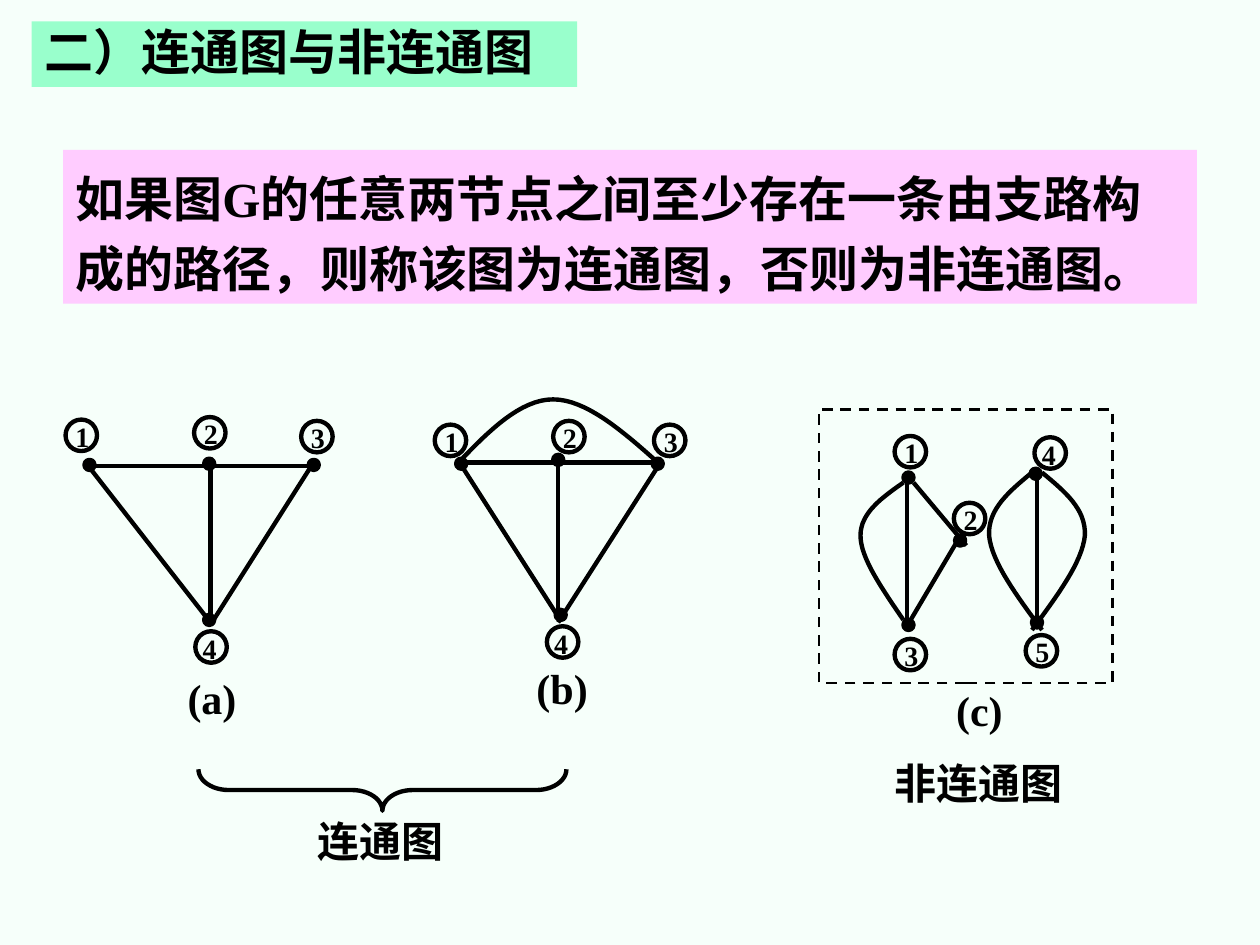
import itertools

import pptx
import pptx.dml.color
import pptx.enum.dml
import pptx.enum.shapes
import pptx.enum.text
import pptx.oxml
import pptx.oxml.ns
import pptx.util

Inches = pptx.util.Inches
Pt = pptx.util.Pt
RGBColor = pptx.dml.color.RGBColor
Shape = pptx.enum.shapes.MSO_SHAPE
Text = pptx.enum.text

BLACK = RGBColor(0x00, 0x00, 0x00)
MINT = RGBColor(0xF6, 0xFF, 0xFA)
GREEN = RGBColor(0x99, 0xFF, 0xCC)
PINK = RGBColor(0xFF, 0xCC, 0xFF)
ROMAN = "Times New Roman"
HAN = "Noto Sans CJK SC"
DOT = 0.08
RING = 0.25


def add_tag(parent, tag, **attrs):
    node = pptx.oxml.parse_xml(f"<a:{tag} {pptx.oxml.ns.nsdecls('a')}/>")
    for key, value in attrs.items():
        node.set(key, value)
    parent.append(node)


def write(frame, text, size=24, han=ROMAN, space=1.0, plain=False):
    frame.word_wrap = True
    frame.auto_size = Text.MSO_AUTO_SIZE.NONE
    frame.vertical_anchor = Text.MSO_ANCHOR.TOP
    para = frame.paragraphs[0]
    para.alignment = Text.PP_ALIGN.LEFT
    para.line_spacing = space
    para.space_before = Pt(0)
    if plain:
        props = para._p.get_or_add_pPr()
        props.set("marL", "0")
        props.set("indent", "0")
        add_tag(props, "buNone")
    for latin, chars in itertools.groupby(text, str.isascii):
        run = para.add_run()
        run.text = "".join(chars)
        font = run.font
        font.size = Pt(size)
        font.bold = True
        font.color.rgb = BLACK
        font.name = ROMAN if latin else han
        add_tag(run._r.get_or_add_rPr(), "ea", typeface=HAN)


def curve(start, *bends, steps=16):
    points = [start]
    for b, c, d in bends:
        a = points[-1]
        for step in range(1, steps + 1):
            t = step / steps
            u = 1 - t
            points.append(tuple(
                u**3 * p + 3 * u * u * t * q + 3 * u * t * t * r + t**3 * s
                for p, q, r, s in zip(a, b, c, d)))
    return points


class Board:
    def __init__(self, slide, width=2.5):
        self.slide = slide
        self.shapes = slide.shapes
        self.width = width

    def style(self, shape, fill=None, width=None):
        shape.shadow.inherit = False
        if fill is None:
            shape.fill.background()
        else:
            shape.fill.solid()
            shape.fill.fore_color.rgb = fill
        shape.line.color.rgb = BLACK
        shape.line.width = Pt(width or self.width)
        return shape

    def holder(self, index, box, text, fill, space):
        shape = self.slide.placeholders[index]
        shape.left, shape.top, shape.width, shape.height = map(Inches, box)
        shape.fill.solid()
        shape.fill.fore_color.rgb = fill
        write(shape.text_frame, text, size=28, han=HAN, space=space, plain=True)

    def form(self, kind, box, **look):
        return self.style(self.shapes.add_shape(kind, *map(Inches, box)), **look)

    def line(self, x1, y1, x2, y2):
        kind = pptx.enum.shapes.MSO_CONNECTOR.STRAIGHT
        line = self.shapes.add_connector(kind, *map(Inches, (x1, y1, x2, y2)))
        line.line.color.rgb = BLACK
        line.line.width = Pt(self.width)
        add_tag(line._element.spPr, "effectLst")

    def arc(self, points):
        start, *rest = [(Inches(x), Inches(y)) for x, y in points]
        path = self.shapes.build_freeform(*start)
        path.add_line_segments(rest, close=False)
        self.style(path.convert_to_shape())

    def dot(self, x, y):
        self.form(Shape.OVAL, (x, y, DOT, DOT), fill=BLACK)

    def label(self, box, text, **look):
        write(self.shapes.add_textbox(*map(Inches, box)).text_frame, text, **look)

    def node(self, name, x, y):
        self.form(Shape.OVAL, (x, y, RING, RING))
        shift = 0.04 if name == "4" else 0.02
        self.label((x - shift, y - 0.05, 0.33, 0.37), name, size=16)

    def graph(self, lines, arcs, dots, nodes):
        for ends in lines:
            self.line(*ends)
        for points in arcs:
            self.arc(points)
        for spot in dots:
            self.dot(*spot)
        for name, spot in enumerate(nodes, 1):
            self.node(str(name), *spot)


def main():
    deck = pptx.Presentation()
    deck.slide_width, deck.slide_height = Inches(10), Inches(7.5)
    slide = deck.slides.add_slide(deck.slide_layouts[1])
    slide.background.fill.solid()
    slide.background.fill.fore_color.rgb = MINT
    board = Board(slide)

    board.holder(0, (0.25, 0.17, 4.33, 0.52), "二）连通图与非连通图", GREEN, 0.9)
    board.holder(
        1, (0.5, 1.19, 9, 1.22),
        "如果图G的任意两节点之间至少存在一条由支路构成的路径，则称该图为连通图，否则为非连通图。",
        PINK, 1.2)

    board.graph(
        lines=[(0.69, 3.7, 2.52, 3.7), (1.67, 3.7, 1.67, 4.95),
               (0.71, 3.71, 1.67, 4.94), (2.47, 3.7, 1.67, 4.96)],
        arcs=[],
        dots=[(0.67, 3.65), (1.62, 3.64), (2.45, 3.65), (1.62, 4.88)],
        nodes=[(0.52, 3.33), (1.54, 3.31), (2.39, 3.34), (1.55, 5.01)])

    board.graph(
        lines=[(3.64, 3.67, 5.24, 3.67), (4.43, 3.67, 4.43, 4.92),
               (3.64, 3.66, 4.44, 4.91), (5.23, 3.69, 4.43, 4.94)],
        arcs=[curve((3.64, 3.67),
                    ((3.88, 3.42), (4.13, 3.17), (4.39, 3.17)),
                    ((4.65, 3.17), (4.94, 3.42), (5.22, 3.67)))],
        dots=[(3.62, 3.64), (4.39, 3.61), (5.18, 3.64), (4.41, 4.84)],
        nodes=[(3.45, 3.37), (4.39, 3.34), (5.19, 3.37), (4.34, 4.97)])

    left = curve((8.19, 3.75),
                 ((8.01, 3.9), (7.84, 4.04), (7.85, 4.25)),
                 ((7.87, 4.46), (8.07, 4.73), (8.27, 5)))
    right = [(2 * 8.23 - x, y) for x, y in left]
    board.graph(
        lines=[(7.2, 3.83, 7.2, 4.92), (8.23, 3.77, 8.23, 4.93),
               (7.25, 3.83, 7.67, 4.33), (7.6, 4.29, 7.21, 4.95)],
        arcs=[curve((7.17, 3.83),
                    ((7, 3.95), (6.83, 4.07), (6.83, 4.25)),
                    ((6.83, 4.43), (7, 4.67), (7.17, 4.92))),
              left, right],
        dots=[(7.17, 3.75), (7.58, 4.25), (7.17, 4.92), (8.18, 3.72), (8.19, 4.9)],
        nodes=[(7.1, 3.46), (7.57, 3.99), (7.1, 5.07), (8.21, 3.47), (8.14, 5.04)])

    frame = board.form(Shape.RECTANGLE, (6.5, 3.25, 2.33, 2.17), width=1.5)
    frame.line.dash_style = pptx.enum.dml.MSO_LINE.DASH
    brace = board.form(Shape.LEFT_BRACE, (2.87, 4.81, 0.33, 2.92))
    brace.rotation = 270
    brace.adjustments[0] = 0.73

    for x, y, wide, text in [
        (1.39, 5.29, 0.67, "(a)"),
        (4.16, 5.21, 0.67, "(b)"),
        (7.49, 5.38, 0.67, "(c)"),
        (2.42, 6.42, 1.25, "连通图"),
        (7, 5.96, 1.58, "非连通图"),
    ]:
        board.label((x, y, wide, 0.5), text)

    deck.save("out.pptx")


if __name__ == "__main__":
    main()
